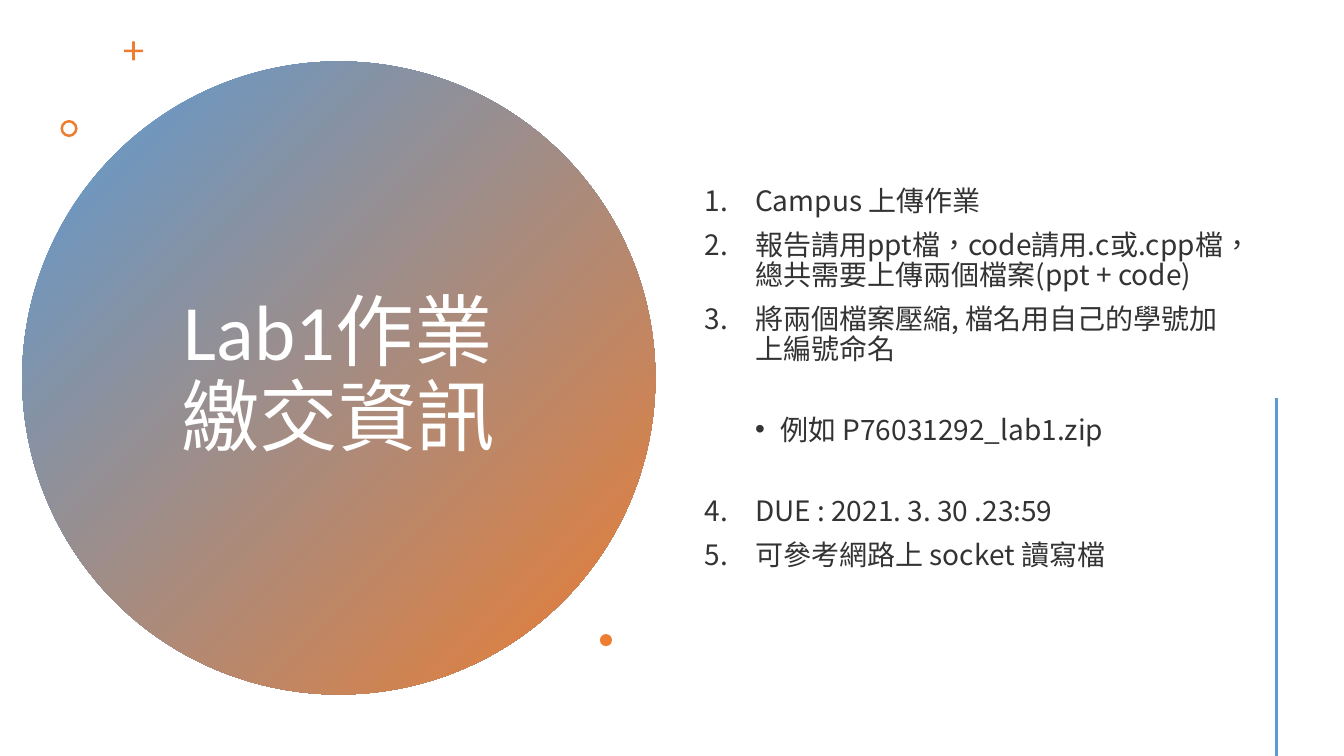
from lxml.etree import SubElement
from pptx import Presentation
from pptx.dml.color import RGBColor
from pptx.enum.shapes import MSO_CONNECTOR, MSO_SHAPE as Shape
from pptx.enum.text import MSO_ANCHOR as Anchor, PP_ALIGN as Align
from pptx.oxml.ns import qn
from pptx.util import Inches, Pt

WIDTH, HEIGHT = 13.33, 7.5
BLUE, ORANGE, WHITE, INK = "5B9BD5", "ED7D31", "FFFFFF", "333333"
TITLE_FONT, BODY_FONT = "Calibri", "Noto Sans CJK SC"
NUMBERED, DOTTED = (0, 0.5, 0.5), (1, 0.75, 0.25)
ITEMS = [
    ("Campus 上傳作業", NUMBERED, 1, 10),
    ("報告請用ppt檔，code請用.c或.cpp檔，總共需要上傳兩個檔案(ppt + code)", NUMBERED, 1, 10),
    ("將兩個檔案壓縮, 檔名用自己的學號加上編號命名", NUMBERED, 1, 10),
    ("例如 P76031292_lab1.zip", DOTTED, 1, 36.5),
    ("DUE : 2021. 3. 30 .23:59", NUMBERED, 4, 36.5),
    ("可參考網路上 socket 讀寫檔", NUMBERED, 4, 10),
]


def rgb(code):
    return RGBColor.from_string(code)


def add_ornament(slide, kind, left, top, size, color=ORANGE, thickness=None):
    ornament = slide.shapes.add_shape(
        kind, Inches(left), Inches(top), Inches(size), Inches(size))
    ornament.shadow.inherit = False
    ornament.line.fill.background()
    ornament.fill.solid()
    ornament.fill.fore_color.rgb = rgb(color)
    if thickness is not None:
        ornament.adjustments[0] = thickness
    return ornament


def add_disc(slide):
    disc = add_ornament(slide, Shape.OVAL, 0.22, 0.61, 6.28)
    disc.fill.gradient()
    disc.fill.gradient_angle = 315
    for stop, (position, color) in zip(disc.fill.gradient_stops, [(0, BLUE), (1, ORANGE)]):
        stop.position = position
        stop.color.rgb = rgb(color)
    slide.shapes._spTree.insert(2, disc._element)


def style_text(paragraph, font_name, size, color):
    font = paragraph.font
    font.name, font.size = font_name, Pt(size)
    font.color.rgb = rgb(color)
    defaults = paragraph._p.pPr.find(qn("a:defRPr"))
    defaults.set("lang", "zh-TW")
    SubElement(defaults, qn("a:ea")).set("typeface", BODY_FONT)


def set_heading(slide):
    heading = slide.shapes.title
    heading.left, heading.top = Inches(1.36), Inches(1.41)
    heading.width, heading.height = Inches(3.99), Inches(4.67)
    frame = heading.text_frame
    frame.text = "Lab1作業繳交資訊"
    frame.word_wrap = True
    frame.vertical_anchor = Anchor.MIDDLE
    paragraph = frame.paragraphs[0]
    paragraph.alignment = Align.CENTER
    paragraph.line_spacing = 0.9
    style_text(paragraph, TITLE_FONT, 56, WHITE)


def set_marker(paragraph, style, start):
    level, margin, hanging = style
    paragraph.level = level
    properties = paragraph._p.get_or_add_pPr()
    properties.set("marL", str(Inches(margin)))
    properties.set("indent", str(-Inches(hanging)))
    if style == NUMBERED:
        number = SubElement(properties, qn("a:buAutoNum"))
        number.set("type", "arabicPeriod")
        if start > 1:
            number.set("startAt", str(start))
    else:
        SubElement(properties, qn("a:buFont")).set("typeface", "Arial")
        SubElement(properties, qn("a:buChar")).set("char", "•")


def add_instructions(slide):
    frame = slide.shapes.add_textbox(
        Inches(6.89), Inches(0.57), Inches(5.43), Inches(6.38)).text_frame
    frame.word_wrap = True
    frame.vertical_anchor = Anchor.MIDDLE
    for index, (text, style, start, gap) in enumerate(ITEMS):
        paragraph = frame.add_paragraph() if index else frame.paragraphs[0]
        paragraph.text = text
        paragraph.line_spacing = Pt(21.5)
        paragraph.space_before = Pt(gap)
        set_marker(paragraph, style, start)
        style_text(paragraph, BODY_FONT, 20, INK)


def add_side_rule(slide):
    x = Inches(WIDTH * 0.95)
    rule = slide.shapes.add_connector(
        MSO_CONNECTOR.STRAIGHT, x, Inches(3.95), x, Inches(HEIGHT))
    rule.line.color.rgb = rgb(BLUE)
    rule.line.width = Pt(2)
    SubElement(rule._element.spPr, qn("a:effectLst"))


def main():
    deck = Presentation()
    deck.slide_width, deck.slide_height = Inches(WIDTH), Inches(HEIGHT)
    slide = deck.slides.add_slide(deck.slide_layouts[5])
    add_disc(slide)
    set_heading(slide)
    add_ornament(slide, Shape.CROSS, 1.23, 0.41, 0.19, thickness=0.43)
    add_ornament(slide, Shape.DONUT, 0.6, 1.19, 0.17, thickness=0.15)
    add_instructions(slide)
    add_ornament(slide, Shape.OVAL, 5.95, 6.29, 0.12)
    add_side_rule(slide)
    deck.save("out.pptx")


if __name__ == "__main__":
    main()
